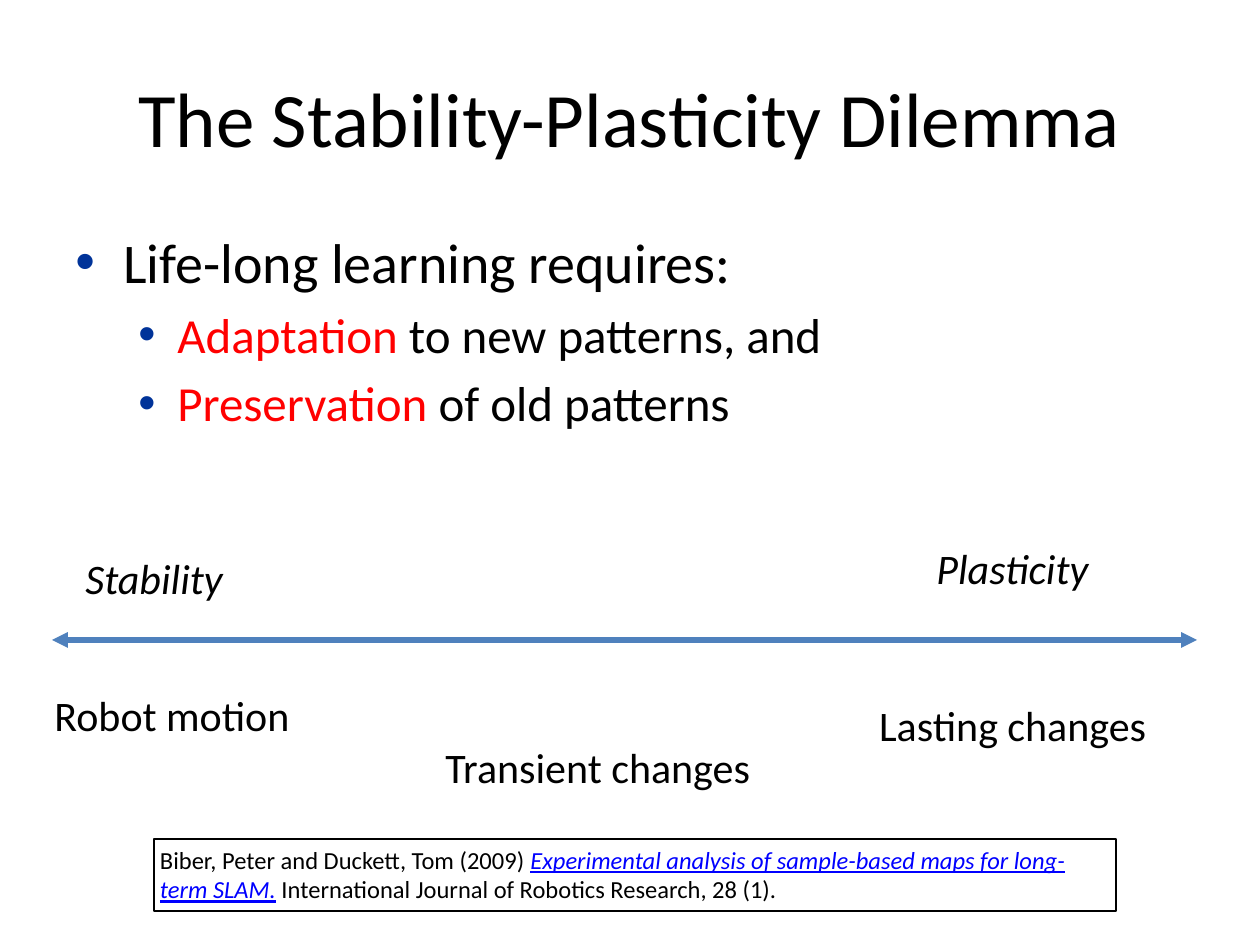
from lxml.etree import SubElement
from pptx import Presentation
from pptx.dml.color import RGBColor
from pptx.enum.shapes import MSO_CONNECTOR, MSO_SHAPE
from pptx.enum.text import MSO_ANCHOR, PP_ALIGN
from pptx.oxml.ns import qn
from pptx.util import Pt

PX = 914400 / 126
FONT = "Calibri"
BLACK = RGBColor(0, 0, 0)
WHITE = RGBColor(255, 255, 255)
RED = RGBColor(255, 0, 0)
LINK = RGBColor(0, 0, 255)
AXIS = RGBColor(0x4F, 0x81, 0xBD)
BULLET = RGBColor(0, 0x33, 0x99)

TITLE = "The Stability-Plasticity Dilemma"
BULLETS = [
    (0, 32, [("Life-long learning requires:", BLACK)]),
    (1, 28, [("Adaptation", RED), (" to new patterns, and", BLACK)]),
    (1, 28, [("Preservation", RED), (" of old patterns", BLACK)]),
]
INDENTS = [(48, 48), (102, 39)]
LABELS = [
    ("Stability", (73, 546, 231, 72), PP_ALIGN.LEFT, True),
    ("Robot motion", (42, 683, 305, 84), PP_ALIGN.LEFT, False),
    ("Plasticity", (924, 536, 251, 72), PP_ALIGN.LEFT, True),
    (" Lasting changes", (819, 693, 378, 84), PP_ALIGN.CENTER, False),
    (" Transient changes", (388, 735, 410, 84), PP_ALIGN.CENTER, False),
]
AXIS_ENDS = (52, 640, 1197, 640)
CITATION = [
    ("Biber, Peter and\u00a0Duckett, Tom\u00a0(2009)\u00a0", BLACK, False),
    ("Experimental analysis of sample-based maps for long-term SLAM.", LINK, True),
    ("\u00a0International Journal of Robotics Research, 28 (1).", BLACK, False),
]


def px(*values):
    return [round(v * PX) for v in values]


def add_run(p, text, size, color=BLACK, italic=False, underline=False):
    r = p.add_run()
    r.text = text
    r.font.name = FONT
    r.font.size = Pt(size)
    r.font.color.rgb = color
    r.font.italic = italic
    r.font.underline = underline


def add_box(s, box):
    tf = s.shapes.add_textbox(*px(*box)).text_frame
    tf.word_wrap = True
    return tf


def add_bullet(p, level):
    left, hang = px(*INDENTS[level])
    p.level = level
    pPr = p._p.get_or_add_pPr()
    pPr.set("marL", str(left))
    pPr.set("indent", str(-hang))
    SubElement(SubElement(pPr, qn("a:buClr")), qn("a:srgbClr")).set("val", str(BULLET))
    SubElement(pPr, qn("a:buFont")).set("typeface", "Arial")
    SubElement(pPr, qn("a:buChar")).set("char", "•")


def add_axis(s):
    c = s.shapes.add_connector(MSO_CONNECTOR.STRAIGHT, *px(*AXIS_ENDS))
    c.line.color.rgb = AXIS
    c.line.width = Pt(3)
    ln = c.line._get_or_add_ln()
    for end in ("a:headEnd", "a:tailEnd"):
        SubElement(ln, qn(end)).set("type", "triangle")
    SubElement(c._element.spPr, qn("a:effectLst"))


def add_citation(s):
    sp = s.shapes.add_shape(MSO_SHAPE.RECTANGLE, *px(154, 839, 962, 72))
    sp.shadow.inherit = False
    sp.fill.solid()
    sp.fill.fore_color.rgb = WHITE
    sp.line.color.rgb = BLACK
    sp.line.width = Pt(1.5)
    tf = sp.text_frame
    tf.word_wrap = True
    tf.vertical_anchor = MSO_ANCHOR.TOP
    tf.margin_left, tf.margin_top, tf.margin_right, tf.margin_bottom = px(6, 6, 6, 6)
    p = tf.paragraphs[0]
    p.alignment = PP_ALIGN.LEFT
    for text, color, linked in CITATION:
        add_run(p, text, 14, color, linked, linked)


def main():
    prs = Presentation()
    prs.slide_width, prs.slide_height = px(1260, 945)
    s = prs.slides.add_slide(prs.slide_layouts[6])

    tf = add_box(s, (63, 38, 1134, 158))
    tf.vertical_anchor = MSO_ANCHOR.MIDDLE
    p = tf.paragraphs[0]
    p.alignment = PP_ALIGN.CENTER
    add_run(p, TITLE, 44)

    tf = add_box(s, (63, 221, 1134, 624))
    for i, (level, size, runs) in enumerate(BULLETS):
        p = tf.add_paragraph() if i else tf.paragraphs[0]
        add_bullet(p, level)
        if i:
            p.space_before = Pt(size * 0.2)
        for text, color in runs:
            add_run(p, text, size, color)

    add_axis(s)
    for text, box, align, italic in LABELS:
        p = add_box(s, box).paragraphs[0]
        p.alignment = align
        add_run(p, text, 24, italic=italic)
    add_citation(s)
    prs.save("out.pptx")


if __name__ == "__main__":
    main()
